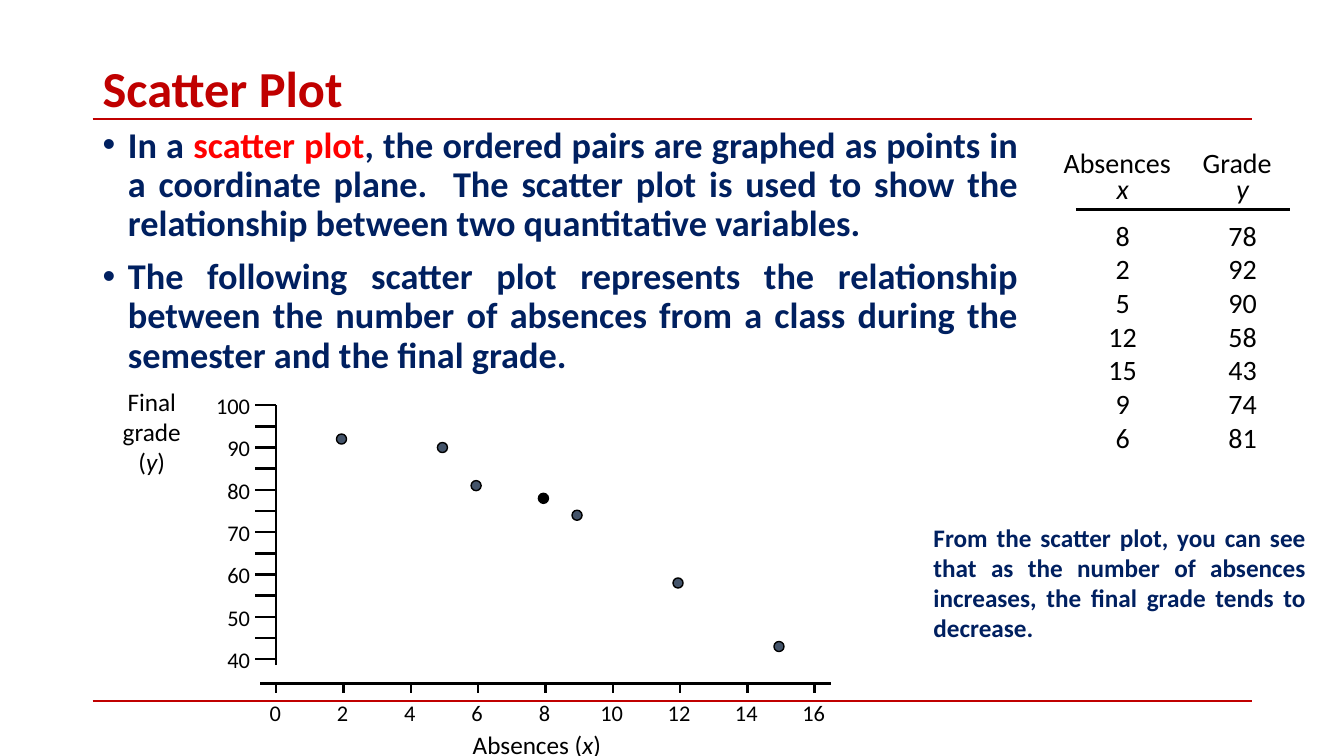
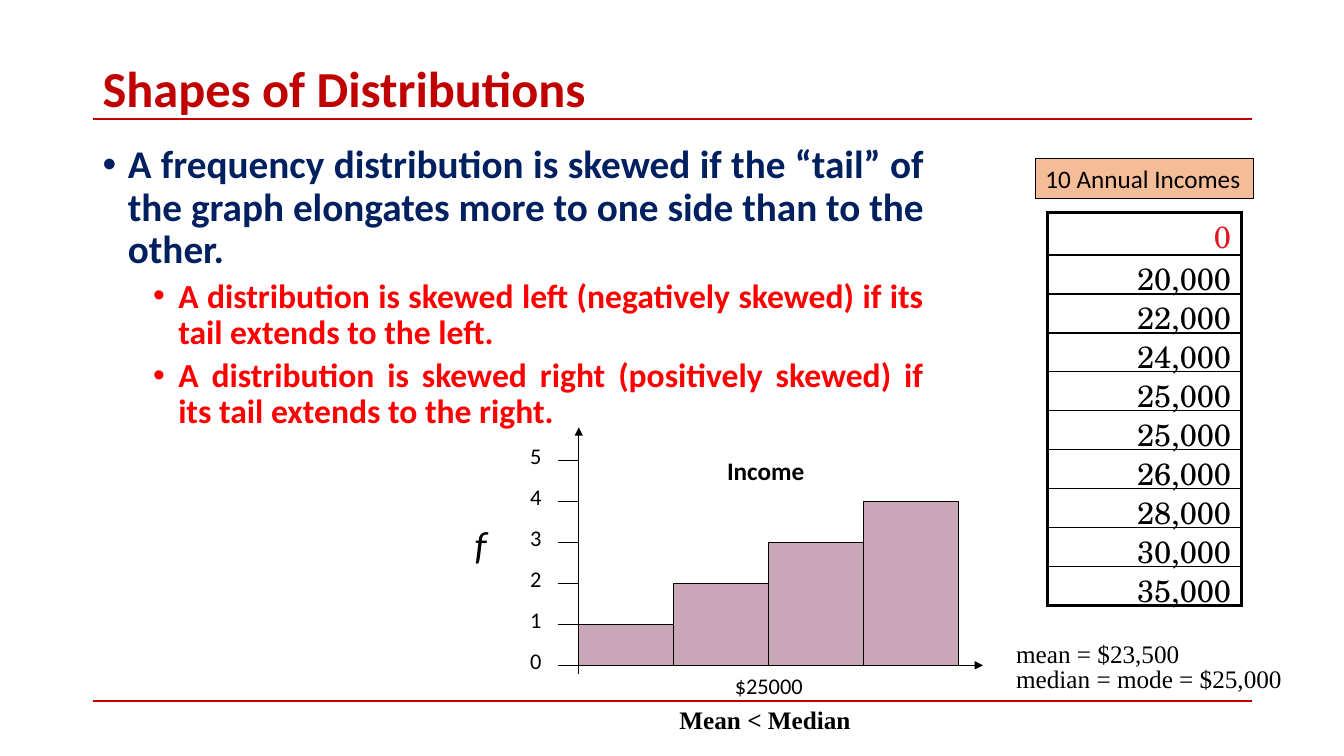
from dataclasses import dataclass, replace

from lxml.etree import SubElement
from pptx import Presentation
from pptx.dml.color import RGBColor
from pptx.enum.shapes import MSO_CONNECTOR, MSO_SHAPE
from pptx.enum.text import MSO_ANCHOR, PP_ALIGN
from pptx.oxml.ns import qn
from pptx.util import Inches, Pt

RED, NAVY, BRIGHT_RED, BLACK = "C00000", "002060", "FF0000", "000000"
SLATE, ORANGE, PLUM, CRIMSON = "44546A", "ED7D31", "954F72", "E11521"


@dataclass(frozen=True)
class Style:
    """Look of a run of text."""
    size: float = 18
    color: str = BLACK
    bold: bool = False
    italic: bool = False
    font: str = "Calibri"


TITLE = Style(36, RED, bold=True)
BODY = Style(28, NAVY, bold=True)
PLAIN = Style()
COLUMN = Style(20)
AXIS = Style(16)
SERIF = Style(font="Times New Roman")
INCOME = Style(22, font="TeX Gyre Schola")


def rgb(value):
    """Turn a hex string into a colour."""
    return RGBColor.from_string(value)


def write(paragraph, content, style, align=PP_ALIGN.LEFT):
    """Fill a paragraph from a string or a list of (text, style) runs."""
    paragraph.alignment = align
    runs = [(content, style)] if isinstance(content, str) else content
    for text, look in runs:
        run = paragraph.add_run()
        run.text = text
        font = run.font
        font.name, font.size = look.font, Pt(look.size)
        font.bold, font.italic = look.bold, look.italic
        font.color.rgb = rgb(look.color)


def add_text(slide, box, lines, style, align=PP_ALIGN.LEFT, inset=True):
    """Add a text box with one paragraph per line and return its frame."""
    frame = slide.shapes.add_textbox(*map(Inches, box)).text_frame
    frame.word_wrap = True
    if not inset:
        frame.margin_left = frame.margin_right = 0
        frame.margin_top = frame.margin_bottom = 0
    for index, content in enumerate(lines):
        paragraph = frame.add_paragraph() if index else frame.paragraphs[0]
        write(paragraph, content, style, align)
    return frame


def add_line(slide, start, end, width, color=BLACK, arrow=False):
    """Draw a straight line, with an arrowhead at its end if asked."""
    line = slide.shapes.add_connector(
        MSO_CONNECTOR.STRAIGHT, *map(Inches, (*start, *end)))
    line.line.color.rgb = rgb(color)
    line.line.width = Pt(width)
    if arrow:
        SubElement(line.line._get_or_add_ln(), qn("a:tailEnd"), type="triangle")
    SubElement(line._element.spPr, qn("a:effectLst"))


def add_shape(slide, kind, box, fill, width, alpha=None):
    """Add a black-edged shape, see-through when alpha (percent) is given."""
    shape = slide.shapes.add_shape(kind, *map(Inches, box))
    shape.shadow.inherit = False
    shape.fill.solid()
    shape.fill.fore_color.rgb = rgb(fill)
    shape.line.color.rgb = rgb(BLACK)
    shape.line.width = Pt(width)
    if alpha:
        solid = shape._element.spPr.find(qn("a:solidFill"))
        SubElement(solid[0], qn("a:alpha"), val=str(alpha * 1000))
    return shape


def space_before_percent(paragraph, percent):
    """Set the space before a paragraph as a share of its line."""
    paragraph.space_before = Pt(0)
    spacing = paragraph._p.pPr.find(qn("a:spcBef"))
    spacing.remove(spacing[0])
    SubElement(spacing, qn("a:spcPct"), val=str(percent * 1000))


def add_bullets(slide, box, items):
    """Add justified bullets from (level, content, style) items."""
    frame = add_text(slide, box, [], BODY)
    for index, (level, content, style) in enumerate(items):
        paragraph = frame.add_paragraph() if index else frame.paragraphs[0]
        write(paragraph, content, style, PP_ALIGN.JUSTIFY)
        paragraph.level = level
        paragraph.line_spacing = 0.9
        paragraph.space_before = Pt(5 if level else 10)
        properties = paragraph._p.get_or_add_pPr()
        properties.set("marL", str(Inches(0.25 + 0.5 * level)))
        properties.set("indent", str(Inches(-0.25)))
        SubElement(properties, qn("a:buFont"), typeface="Arial")
        SubElement(properties, qn("a:buChar"), char="•")


def add_titled_slide(presentation, title):
    """Add a blank slide with the shared rules and title."""
    slide = presentation.slides.add_slide(presentation.slide_layouts[6])
    for y in (1.18, 6.95):
        add_line(slide, (0.92, y), (12.42, y), 1.5, RED)
    frame = add_text(slide, (0.92, 0.61, 11.5, 0.58), [title], TITLE)
    frame.vertical_anchor = MSO_ANCHOR.MIDDLE
    frame.paragraphs[0].line_spacing = 0.9
    return slide


def add_pairs(slide, left, top, pairs):
    """List the ordered pairs in two headed columns."""
    absences, grades = zip(*pairs)
    columns = [("Absences", "x", absences, 0, 0.28, 0.81),
               ("Grade", "y", grades, 1.38, 1.48, 0.79)]
    for heading, symbol, values, heading_x, values_x, width in columns:
        add_text(slide, (left + heading_x, top, 1.39, 0.43), [heading], COLUMN)
        lines = [[(symbol, replace(COLUMN, italic=True))], *map(str, values)]
        frame = add_text(slide, (left + values_x, top + 0.26, width, 2.9),
                         lines, COLUMN, PP_ALIGN.CENTER)
        frame.paragraphs[1].space_before = Pt(9.6)
    add_line(slide, (left + 0.22, top + 0.69), (left + 2.34, top + 0.69), 2)


def add_scatter(slide, box, pairs, highlight):
    """Plot grade (40 to 100) against absences (0 to 16) in the box."""
    left, top, width, height = box
    bottom, axis_y = top + height, top + height + 0.24
    italic = replace(PLAIN, italic=True)

    def place_x(value):
        return left + width * value / 16

    def place_y(value):
        return bottom - height * (value - 40) / 60

    add_text(slide, (left - 1.97, top - 0.24, 1.47, 1.3),
             ["Final", "grade", [("(", PLAIN), ("y", italic), (")", PLAIN)]],
             PLAIN, PP_ALIGN.CENTER)
    add_text(slide, (left + 1.85, axis_y + 0.41, 2.11, 0.5),
             [[("Absences (", PLAIN), ("x", italic), (")", PLAIN)]], PLAIN)

    add_line(slide, (left - 0.16, axis_y), (left + 5.5, axis_y), 1.75)
    for value in range(0, 17, 2):
        x = place_x(value)
        add_line(slide, (x, axis_y), (x, axis_y + 0.1), 1.75)
        add_text(slide, (x - 0.21, axis_y + 0.16, 0.4, 0.27), [str(value)],
                 AXIS, PP_ALIGN.CENTER, inset=False)

    add_line(slide, (left, bottom + 0.06), (left, top), 1.75)
    for value in range(40, 101, 5):
        y = place_y(value)
        add_line(slide, (left, y), (left - 0.21, y), 1.75)
        if value % 10 == 0:
            add_text(slide, (left - 0.76, y - 0.13, 0.5, 0.27), [str(value)],
                     AXIS, PP_ALIGN.RIGHT, inset=False)

    size = 0.1
    for pair in pairs:
        x, y = place_x(pair[0]), place_y(pair[1])
        add_shape(slide, MSO_SHAPE.OVAL,
                  (x - size / 2 - 0.02, y - size / 2, size, size),
                  BLACK if pair == highlight else SLATE, 1)


def add_income_table(slide, box, values):
    """List incomes in a one-column table with a heavy outer border."""
    shape = slide.shapes.add_table(len(values), 1, *map(Inches, box))
    table = shape.table
    table.first_row = table.horz_banding = False
    last = len(values) - 1
    for index, value in enumerate(values):
        table.rows[index].height = Inches(0.35 if index else 0.42)
        cell = table.cell(index, 0)
        cell.margin_left = cell.margin_right = Inches(0.1)
        cell.margin_top = cell.margin_bottom = Inches(0.01)
        paragraph = cell.text_frame.paragraphs[0]
        style = INCOME if value else replace(INCOME, color=CRIMSON)
        write(paragraph, f"{value:,}", style, PP_ALIGN.RIGHT)
        space_before_percent(paragraph, 20)
        borders = {"L": 2.25, "R": 2.25,
                   "T": 1 if index else 2.25,
                   "B": 2.25 if index == last else 1}
        properties = cell._tc.get_or_add_tcPr()
        for side, width in borders.items():
            line = SubElement(properties, qn(f"a:ln{side}"), w=str(Pt(width)))
            solid = SubElement(line, qn("a:solidFill"))
            SubElement(solid, qn("a:srgbClr"), val=BLACK)
        cell.fill.background()


def add_histogram(slide, box, frequencies):
    """Draw the income histogram, its frequency axis running from 0 to 5."""
    left, top, width, height = box
    bottom = top + height
    bar_width, unit = width / len(frequencies), height / 5
    for index, frequency in enumerate(frequencies):
        bar = (left + index * bar_width, bottom - frequency * unit,
               bar_width, frequency * unit)
        add_shape(slide, MSO_SHAPE.RECTANGLE, bar, PLUM, 0.88, alpha=50)
    for value in range(6):
        y = bottom - value * unit
        add_line(slide, (left - 0.21, y), (left, y), 0.88)
        add_text(slide, (left - 0.67, y - 0.18, 0.3, 0.27), [str(value)],
                 AXIS, PP_ALIGN.RIGHT, inset=False)
    add_line(slide, (left, bottom + 0.09), (left, top - 0.33), 0.88, arrow=True)
    add_line(slide, (left - 0.08, bottom), (left + 4.01, bottom), 0.88, arrow=True)
    add_text(slide, (left + 0.67, top - 0.1, 2.37, 0.4), ["Income"],
             replace(PLAIN, bold=True), PP_ALIGN.CENTER)
    add_text(slide, (left - 1.13, top + 0.54, 0.5, 0.57), ["f"],
             Style(28, italic=True))
    add_text(slide, (left + width / 2 - 0.5, bottom + 0.07, 1, 0.27),
             ["$25000"], AXIS, PP_ALIGN.CENTER, inset=False)


def build_scatter_slide(presentation):
    """Build the slide on scatter plots."""
    slide = add_titled_slide(presentation, "Scatter Plot")
    body = replace(BODY, size=25.9)
    add_bullets(slide, (0.92, 1.21, 9.28, 2.7), [
        (0, [("In a ", body),
             ("scatter plot", replace(body, color=BRIGHT_RED)),
             (", the ordered pairs are graphed as points in a coordinate plane.  "
              "The scatter plot is used to show the relationship between two "
              "quantitative variables.", body)], body),
        (0, "The following scatter plot represents the relationship between the "
            "number of absences from a class during the semester and the final "
            "grade.", body)])
    pairs = [(8, 78), (2, 92), (5, 90), (12, 58), (15, 43), (9, 74), (6, 81)]
    add_pairs(slide, 10.45, 1.39, pairs)
    add_scatter(slide, (2.74, 4.02, 5.34, 2.52), pairs, highlight=(8, 78))
    add_text(slide, (9.16, 5.13, 3.89, 1.31),
             ["From the scatter plot, you can see that as the number of absences "
              "increases, the final grade tends to decrease."],
             replace(BODY, size=18), PP_ALIGN.JUSTIFY)


def build_distribution_slide(presentation):
    """Build the slide on skewed distributions."""
    slide = add_titled_slide(presentation, "Shapes of Distributions")
    detail = replace(BODY, size=24, color=BRIGHT_RED)
    add_bullets(slide, (0.92, 1.39, 8.34, 5.37), [
        (0, "A frequency distribution is skewed if the “tail” of the graph "
            "elongates more to one side than to the other.", BODY),
        (1, "A distribution is skewed left (negatively skewed) if its tail "
            "extends to the left.", detail),
        (1, "A distribution is skewed right (positively skewed) if its tail "
            "extends to the right.", detail)])
    averages = add_text(slide, (9.98, 6.35, 3.35, 0.59),
                        ["mean = $23,500", "median = mode = $25,000"], SERIF)
    for paragraph in averages.paragraphs:
        paragraph.line_spacing = 0.75
        space_before_percent(paragraph, 10)
    add_income_table(slide, (10.39, 2.11, 1.92, 3.9),
                     [0, 20000, 22000, 24000, 25000, 25000, 26000, 28000,
                      30000, 35000])
    heading = add_shape(slide, MSO_SHAPE.RECTANGLE, (10.27, 1.57, 2.16, 0.4),
                        ORANGE, 0.75, alpha=50)
    write(heading.text_frame.paragraphs[0], "10 Annual Incomes", PLAIN)
    add_text(slide, (6.64, 6.94, 1.92, 0.4), ["Mean < Median"],
             replace(SERIF, bold=True))
    add_histogram(slide, (5.74, 4.57, 3.77, 2.03), [1, 2, 3, 4])


presentation = Presentation()
presentation.slide_width, presentation.slide_height = Inches(13.33), Inches(7.5)
build_scatter_slide(presentation)
build_distribution_slide(presentation)
presentation.save("out.pptx")
